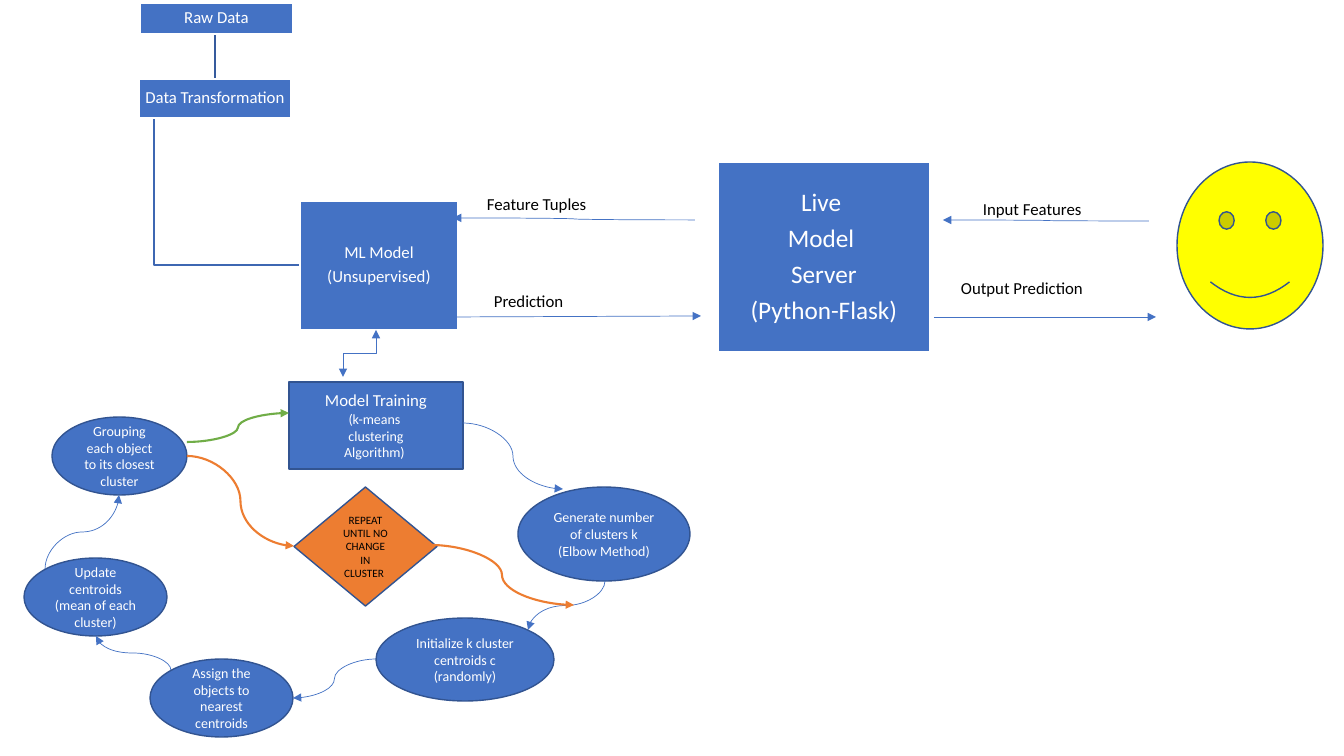
"""Build the slide of a clustering model, its training loop and its live server."""
from dataclasses import dataclass

from lxml.etree import SubElement
from pptx import Presentation
from pptx.dml.color import RGBColor
from pptx.enum.shapes import MSO_CONNECTOR, MSO_SHAPE
from pptx.enum.text import MSO_ANCHOR, PP_ALIGN
from pptx.oxml.ns import qn
from pptx.util import Pt

SCALE = 914400 / 100.8


@dataclass(frozen=True)
class Theme:
    font: str = "Calibri"
    blue: str = "4472C4"
    outline: str = "325491"
    elbow: str = "3E67B2"
    stem: str = "365B9D"
    orange: str = "ED7D31"
    green: str = "70AD47"
    yellow: str = "FFFF00"
    white: str = "FFFFFF"
    black: str = "000000"
    large: int = 18
    normal: int = 12
    small: int = 10
    tiny: int = 8


theme = Theme()
deck = Presentation()
deck.slide_width, deck.slide_height = round(1344 * SCALE), round(756 * SCALE)
page = deck.slides.add_slide(deck.slide_layouts[6])
shapes = page.shapes


def write(box, lines, color, align, frame_format, paragraph_format):
    frame = box.text_frame
    for name, value in {"word_wrap": True, **frame_format}.items():
        setattr(frame, name, value)
    for index, (text, size) in enumerate(lines):
        para = frame.add_paragraph() if index else frame.paragraphs[0]
        for name, value in {"alignment": align, **paragraph_format}.items():
            setattr(para, name, value)
        span = para.add_run()
        span.text = text
        for name, value in {"name": theme.font, "size": Pt(size)}.items():
            setattr(span.font, name, value)
        span.font.color.rgb = RGBColor.from_string(color)


def connect(kind, start, end, color, width, ends=("tailEnd",), vertical=False):
    (x1, y1), (x2, y2) = start, end
    if vertical:
        middle_x, middle_y = (x1 + x2) / 2, (y1 + y2) / 2
        half_x, half_y = (y2 - y1) / 2, (x1 - x2) / 2
        x1, y1 = middle_x - half_x, middle_y - half_y
        x2, y2 = middle_x + half_x, middle_y + half_y
    link = shapes.add_connector(kind, *[round(v * SCALE) for v in (x1, y1, x2, y2)])
    if vertical:
        link._element.spPr.find(qn("a:xfrm")).set("rot", "5400000")
    link.line.color.rgb = RGBColor.from_string(color)
    link.line.width = Pt(width)
    for end_name in ends:
        SubElement(link.line._get_or_add_ln(), qn(f"a:{end_name}"), type="triangle")
    SubElement(link._element.spPr, qn("a:effectLst"))


builder = shapes.build_freeform(154, 118, scale=SCALE)
builder.add_line_segments([(154, 265), (300, 265)], close=False)
data_path = builder.convert_to_shape()
data_path.fill.background()
data_path.line.color.rgb = RGBColor.from_string(theme.elbow)
data_path.line.width = Pt(1)
data_path.shadow.inherit = False
connect(MSO_CONNECTOR.STRAIGHT, (215, 35), (215, 79), theme.stem, 1, ends=())

stages = [
    ((140, 3, 153, 31), theme.normal, ["Raw Data"]),
    ((139, 79, 152, 39), theme.normal, ["Data Transformation"]),
    ((300, 201, 158, 129), theme.normal, ["ML Model", "(Unsupervised)"]),
    ((718, 162, 212, 190), theme.large, ["Live ", "Model ", "Server", "(Python-Flask)"]),
]
steps = [
    (MSO_SHAPE.RECTANGLE, (289, 382, 174, 87), theme.blue, theme.white,
     [("Model Training", theme.normal), ("(k-means ", theme.small),
      ("clustering", theme.small), ("Algorithm) ", theme.small)]),
    (MSO_SHAPE.OVAL, (518, 487, 172, 94), theme.blue, theme.white,
     [("Generate number of clusters k", theme.small), ("(Elbow Method)", theme.small)]),
    (MSO_SHAPE.OVAL, (376, 618, 178, 83), theme.blue, theme.white,
     [("Initialize k cluster centroids c", theme.small), ("(randomly)", theme.small)]),
    (MSO_SHAPE.OVAL, (150, 659, 143, 78), theme.blue, theme.white,
     [("Assign the objects to nearest centroids", theme.small)]),
    (MSO_SHAPE.OVAL, (24, 558, 143, 78), theme.blue, theme.white,
     [("Update centroids", theme.small), ("(mean of each cluster)", theme.small)]),
    (MSO_SHAPE.OVAL, (52, 417, 135, 78), theme.blue, theme.white,
     [("Grouping each object to its closest cluster", theme.small)]),
    (MSO_SHAPE.DIAMOND, (294, 487, 143, 119), theme.orange, theme.black,
     [("REPEAT UNTIL NO CHANGE IN CLUSTER ", theme.tiny)]),
    (MSO_SHAPE.SMILEY_FACE, (1177, 162, 146, 167), theme.yellow, theme.black, []),
]
margins = {f"margin_{side}": round(SCALE) for side in ("left", "top", "right", "bottom")}
nodes = [
    (MSO_SHAPE.RECTANGLE, place, theme.blue, theme.white, theme.white,
     [(text, size) for text in texts], margins,
     {"line_spacing": 0.9, "space_after": Pt(round(0.35 * size, 1))})
    for place, size, texts in stages
] + [
    (kind, place, fill, theme.outline, color, lines, {}, {})
    for kind, place, fill, color, lines in steps
]
for kind, place, fill, edge, color, lines, frame_format, paragraph_format in nodes:
    node = shapes.add_shape(kind, *[round(v * SCALE) for v in place])
    node.shadow.inherit = False
    node.fill.solid()
    node.fill.fore_color.rgb = RGBColor.from_string(fill)
    node.line.color.rgb = RGBColor.from_string(edge)
    node.line.width = Pt(1)
    write(node, lines, color, PP_ALIGN.CENTER,
          {"vertical_anchor": MSO_ANCHOR.MIDDLE, **frame_format}, paragraph_format)

connect(MSO_CONNECTOR.ELBOW, (376, 330), (343, 377), theme.blue, 0.5,
        ends=("headEnd", "tailEnd"), vertical=True)
for start, end, color, width, vertical in [
    ((463, 423), (563, 489), theme.blue, 0.5, False),
    ((605, 581), (528, 630), theme.blue, 0.5, True),
    ((376, 659), (293, 698), theme.blue, 0.5, False),
    ((171, 670), (96, 636), theme.blue, 0.5, True),
    ((45, 569), (119, 495), theme.blue, 0.5, True),
    ((187, 456), (294, 546), theme.orange, 1.5, False),
    ((430, 545), (574, 605), theme.orange, 1.5, False),
    ((187, 442), (289, 413), theme.green, 1.5, False),
    ((1149, 221), (943, 220), theme.blue, 0.5, False),
    ((695, 220), (453, 218), theme.blue, 0.5, False),
]:
    connect(MSO_CONNECTOR.CURVE, start, end, color, width, vertical=vertical)
for start, end in [((934, 317), (1156, 317)), ((453, 317), (701, 316))]:
    connect(MSO_CONNECTOR.STRAIGHT, start, end, theme.blue, 0.5)

for left, top, width, text in [
    (973, 194, 145, "Input Features"),
    (951, 273, 144, "Output Prediction"),
    (484, 286, 172, "Prediction"),
    (477, 189, 172, "Feature Tuples"),
]:
    label = shapes.add_textbox(*[round(v * SCALE) for v in (left, top, width, 30)])
    write(label, [(text, theme.normal)], theme.black, PP_ALIGN.LEFT, {}, {})

deck.save("out.pptx")
